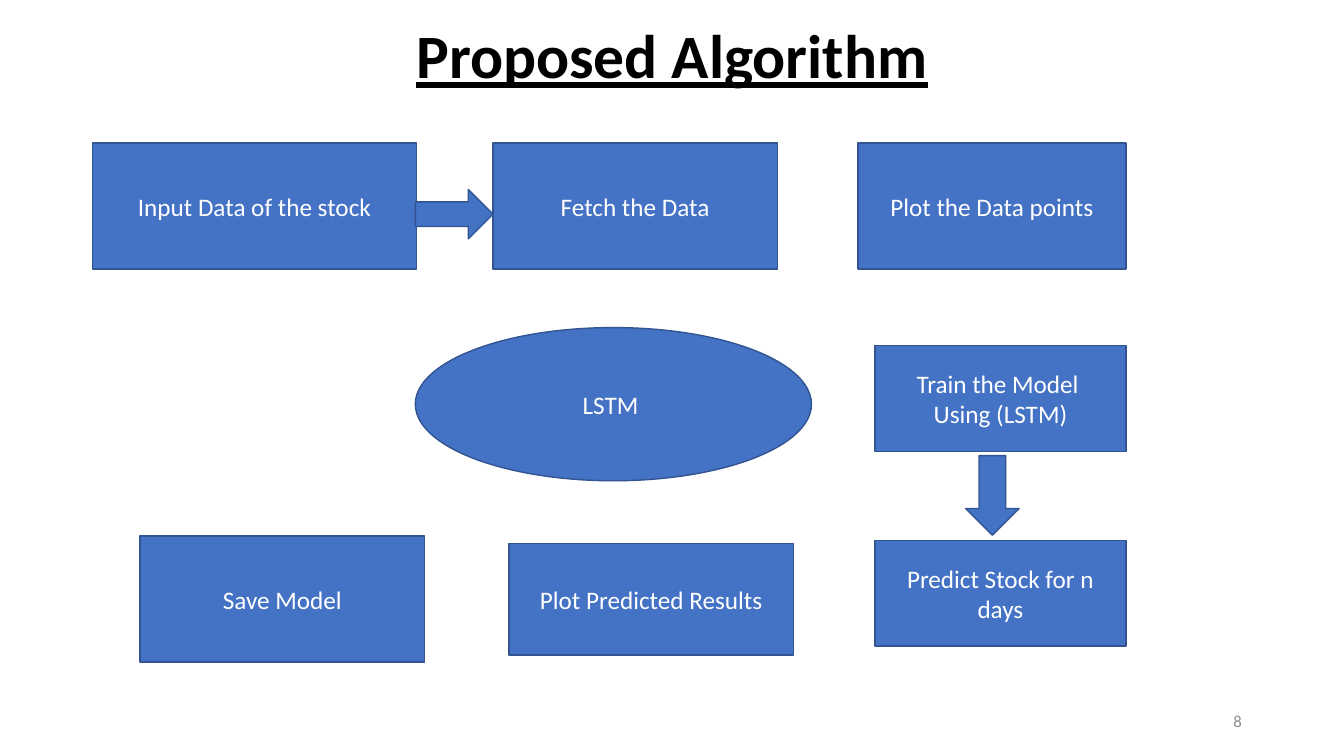
from dataclasses import dataclass

import pptx
import pptx.dml.color
import pptx.enum.shapes
import pptx.enum.text
import pptx.util

RGBColor = pptx.dml.color.RGBColor
Preset = pptx.enum.shapes.MSO_SHAPE
Align = pptx.enum.text.PP_ALIGN

BLUE = RGBColor(0x44, 0x72, 0xC4)
DARK_BLUE = RGBColor(0x32, 0x54, 0x91)
WHITE = RGBColor(0xFF, 0xFF, 0xFF)
BLACK = RGBColor(0x00, 0x00, 0x00)
GRAY = RGBColor(0x8C, 0x8C, 0x8C)

SLIDE_WIDTH = pptx.util.Inches(13.333)
SLIDE_HEIGHT = pptx.util.Inches(7.5)
TITLE_ONLY_LAYOUT = 5


@dataclass(frozen=True)
class Area:
    """A rectangle in percent of the slide's width and height."""
    left: float
    top: float
    width: float
    height: float

    def lengths(self) -> tuple[int, int, int, int]:
        return (
            round(SLIDE_WIDTH * self.left / 100),
            round(SLIDE_HEIGHT * self.top / 100),
            round(SLIDE_WIDTH * self.width / 100),
            round(SLIDE_HEIGHT * self.height / 100),
        )


@dataclass(frozen=True)
class Step:
    area: Area
    text: str = ""
    preset: Preset = Preset.RECTANGLE


TITLE_AREA = Area(6.9, -1.6, 86.25, 18.67)
NUMBER_AREA = Area(70.65, 92.67, 22.5, 5.33)

TOP_ROW = 18.93
TALL = 16.67
SHORT = 14
MIDDLE_WIDTH = 21.15
RIGHT_COLUMN = 65.1
RIGHT_WIDTH = 18.68
INPUT_RIGHT = 30.9

STEPS = [
    Step(Area(6.9, TOP_ROW, 24.08, TALL), "Input Data of the stock"),
    Step(Area(INPUT_RIGHT, 25.07, 5.78, 6.53), preset=Preset.RIGHT_ARROW),
    Step(Area(36.68, TOP_ROW, MIDDLE_WIDTH, TALL), "Fetch the Data"),
    Step(Area(63.83, TOP_ROW, 19.95, TALL), "Plot the Data points"),
    Step(Area(RIGHT_COLUMN, 45.73, RIGHT_WIDTH, SHORT), "Train the Model \nUsing (LSTM)"),
    Step(Area(71.85, 60.27, 3.98, 10.53), preset=Preset.DOWN_ARROW),
    Step(Area(RIGHT_COLUMN, 71.47, RIGHT_WIDTH, SHORT), "Predict Stock for n days"),
    Step(Area(37.88, 71.87, MIDDLE_WIDTH, 14.8), "Plot Predicted Results"),
    Step(Area(10.43, 70.93, MIDDLE_WIDTH, TALL), "Save Model"),
    Step(Area(INPUT_RIGHT, 43.33, 29.48, 20.27), "LSTM ", Preset.OVAL),
]


def write_text(shape, text: str, *, size: float, color: RGBColor,
               alignment: Align = Align.CENTER, bold: bool = False,
               underline: bool = False, line_spacing: float = 1.0) -> None:
    """Fill a shape with text, one paragraph for each line."""
    frame = shape.text_frame
    frame.text = text
    frame.word_wrap = True
    frame.vertical_anchor = pptx.enum.text.MSO_ANCHOR.MIDDLE
    for paragraph in frame.paragraphs:
        paragraph.alignment = alignment
        paragraph.line_spacing = line_spacing
        for run in paragraph.runs:
            run.font.name = "Calibri"
            run.font.size = pptx.util.Pt(size)
            run.font.color.rgb = color
            run.font.bold = bold
            run.font.underline = underline


def add_title(slide) -> None:
    title = slide.shapes.title
    title.left, title.top, title.width, title.height = TITLE_AREA.lengths()
    write_text(title, "Proposed Algorithm", size=44, color=BLACK,
               bold=True, underline=True, line_spacing=0.9)


def add_slide_number(slide) -> None:
    number = slide.shapes.add_textbox(*NUMBER_AREA.lengths())
    write_text(number, "8", size=12, color=GRAY, alignment=Align.RIGHT)


def add_step(slide, step: Step) -> None:
    shape = slide.shapes.add_shape(step.preset, *step.area.lengths())
    shape.shadow.inherit = False
    shape.fill.solid()
    shape.fill.fore_color.rgb = BLUE
    shape.line.color.rgb = DARK_BLUE
    shape.line.width = pptx.util.Pt(1)
    if step.text:
        write_text(shape, step.text, size=18, color=WHITE)


def main() -> None:
    presentation = pptx.Presentation()
    presentation.slide_width = SLIDE_WIDTH
    presentation.slide_height = SLIDE_HEIGHT
    layout = presentation.slide_layouts[TITLE_ONLY_LAYOUT]
    slide = presentation.slides.add_slide(layout)
    add_title(slide)
    add_slide_number(slide)
    for step in STEPS:
        add_step(slide, step)
    presentation.save("out.pptx")


if __name__ == "__main__":
    main()
